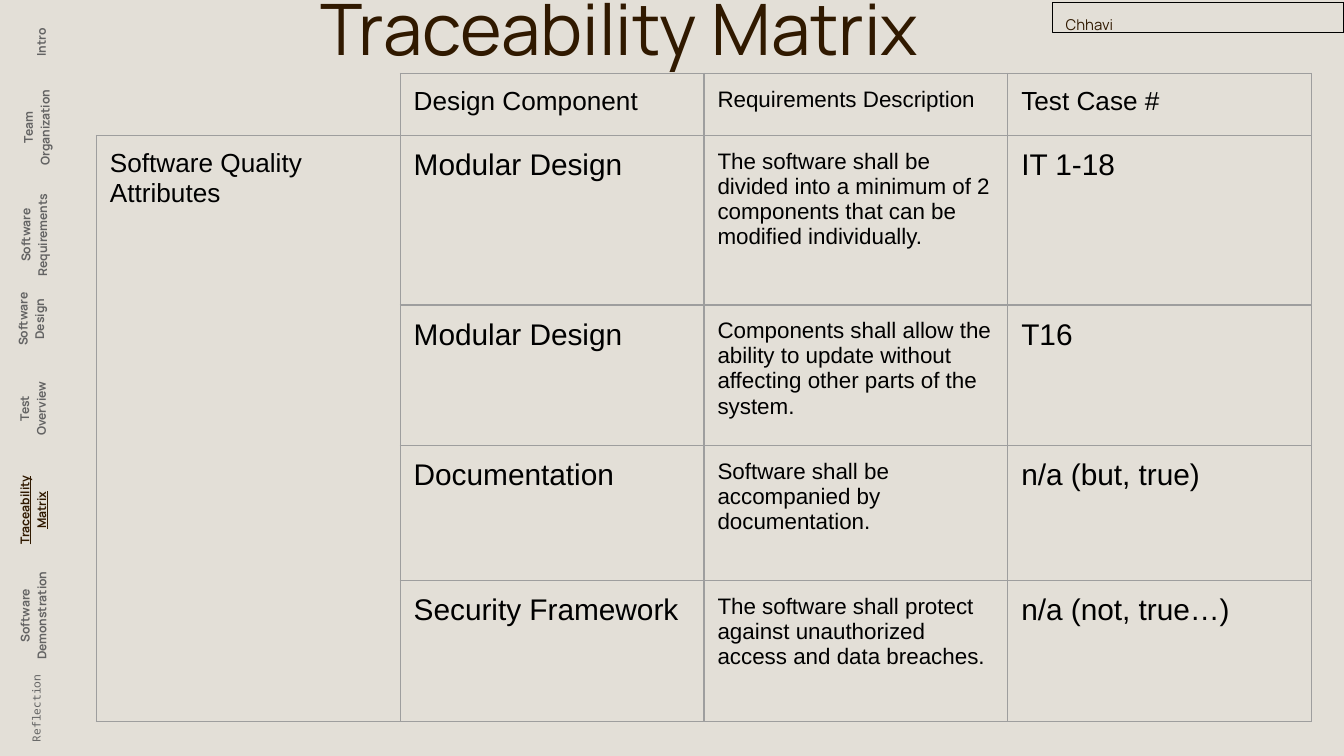
import pptx
import pptx.dml.color
import pptx.enum.shapes
import pptx.enum.text
import pptx.oxml
import pptx.util
from lxml import etree

Pt = pptx.util.Pt
Align = pptx.enum.text.PP_ALIGN
Anchor = pptx.enum.text.MSO_ANCHOR


def color(code):
    return pptx.dml.color.RGBColor.from_string(code)


class Deck:
    paper, dark, gray, black, rule = "E3DFD7", "301900", "636363", "000000", "9E9E9E"
    sans, body, mono = "Manrope", "Arial", "Noto Sans Mono"
    inset = 7.2

    def __init__(self, wide, high):
        self.file = pptx.Presentation()
        self.file.slide_width, self.file.slide_height = Pt(wide), Pt(high)
        self.slide = self.file.slides.add_slide(self.file.slide_layouts[5])
        fill = self.slide.background.fill
        fill.solid()
        fill.fore_color.rgb = color(self.paper)

    def label(self, frame, text, size, font, ink, align=Align.LEFT, lead=None,
              bold=False, under=False):
        para = frame.paragraphs[0]
        para.text = text
        para.alignment = align
        if lead:
            para.line_spacing = lead
        style = para.font
        style.size, style.name = Pt(size), font
        style.bold, style.underline = bold, under
        style.color.rgb = color(ink)

    def pad(self, frame, anchor=Anchor.TOP):
        frame.margin_left = frame.margin_right = Pt(self.inset)
        frame.margin_top = frame.margin_bottom = Pt(self.inset)
        frame.word_wrap = True
        frame.auto_size = pptx.enum.text.MSO_AUTO_SIZE.NONE
        frame.vertical_anchor = anchor

    def title(self, text, x, y, w, h):
        box = self.slide.shapes.title
        box.left, box.top, box.width, box.height = Pt(x), Pt(y), Pt(w), Pt(h)
        self.pad(box.text_frame, Anchor.BOTTOM)
        self.label(box.text_frame, text, 38, self.sans, self.dark, Align.CENTER, 0.9)

    def side(self, text, mid_x, mid_y, w, h, **style):
        """Add a label turned to read upward, placed by its centre."""
        box = self.slide.shapes.add_textbox(
            Pt(mid_x - w / 2), Pt(mid_y - h / 2), Pt(w), Pt(h))
        box.rotation = 270
        self.pad(box.text_frame)
        self.label(box.text_frame, text, **style)

    def tag(self, text, x, y, w, h):
        box = self.slide.shapes.add_shape(
            pptx.enum.shapes.MSO_SHAPE.RECTANGLE, Pt(x), Pt(y), Pt(w), Pt(h))
        box.shadow.inherit = False
        box.fill.background()
        box.line.color.rgb = color(self.black)
        box.line.width = Pt(0.75)
        self.pad(box.text_frame)
        self.label(box.text_frame, text, 8, self.sans, self.dark)

    def edge(self, cell):
        props = cell._tc.get_or_add_tcPr()
        for side in ("lnL", "lnR", "lnT", "lnB"):
            line = etree.SubElement(
                props, pptx.oxml.ns.qn("a:" + side), w=str(Pt(0.75)))
            fill = etree.SubElement(line, pptx.oxml.ns.qn("a:solidFill"))
            etree.SubElement(fill, pptx.oxml.ns.qn("a:srgbClr"), val=self.rule)

    def table(self, x, y, col, highs, rows, sizes):
        count = len(sizes)
        grid = self.slide.shapes.add_table(
            len(rows), count, Pt(x), Pt(y), Pt(col * count), Pt(sum(highs))).table
        grid.first_row = grid.horz_banding = False
        for part in grid.columns:
            part.width = Pt(col)
        for part, high, texts in zip(grid.rows, highs, rows):
            part.height = Pt(high)
            for cell, text, size in zip(part.cells, texts, sizes):
                self.edge(cell)
                cell.fill.background()
                cell.margin_left = cell.margin_right = Pt(self.inset)
                cell.margin_top = cell.margin_bottom = Pt(self.inset)
                if text:
                    self.label(cell.text_frame, text, size, self.body, self.black)


def main():
    deck = Deck(720, 405)

    # Section labels: text, centre x, centre y, length, depth
    here = "Traceability Matrix"
    labels = [
        ("Intro", 19.4, 22.6, 39, 19.4),
        ("Team Organization", 18.7, 68.4, 63.4, 31.8),
        ("Software Requirements", 17.3, 126, 67.6, 31.8),
        ("Software Design", 16, 171, 49, 32.2),
        ("Test Overview", 16.6, 218.9, 49, 31.8),
        (here, 17, 273.2, 62.6, 32.2),
        ("Software Demonstration", 17, 329.8, 67, 31.8),
    ]
    for text, x, y, w, h in labels:
        now = text == here
        deck.side(text, x, y, w, h, size=6.5, font=deck.sans,
                  ink=deck.dark if now else deck.gray, align=Align.CENTER,
                  lead=1.15, bold=True, under=now)
    deck.side("Reflection", 19.8, 379, 51.2, 22.4, size=6, font=deck.mono, ink=deck.gray)

    # Title
    deck.title(here, 115.2, 6.5, 433.4, 38.8)

    # Matrix: group frame, body, then header
    col, left, top = 162.75, 51.7, 72.6
    highs = [90.8, 75.3, 72.3, 75.5]
    deck.table(left, top, col, [sum(highs)],
               [["Software Quality Attributes", "", "", ""]], [14] * 4)
    deck.table(left + col, top, col, highs, [
        ["Modular Design",
         "The software shall be divided into a minimum of 2 components "
         "that can be modified individually.", "IT 1-18"],
        ["Modular Design",
         "Components shall allow the ability to update without affecting "
         "other parts of the system.", "T16"],
        ["Documentation",
         "Software shall be accompanied by documentation.", "n/a (but, true)"],
        ["Security Framework",
         "The software shall protect against unauthorized access and data "
         "breaches.", "n/a (not, true…)"],
    ], [16, 12, 16])
    head = 33.2
    deck.table(left + col, top - head, col, [head],
               [["Design Component", "Requirements Description", "Test Case #"]],
               [14, 12, 14])

    # Speaker tag
    deck.tag("Chhavi", 563.8, 1.4, 156.2, 16)

    deck.file.save("out.pptx")


if __name__ == "__main__":
    main()
